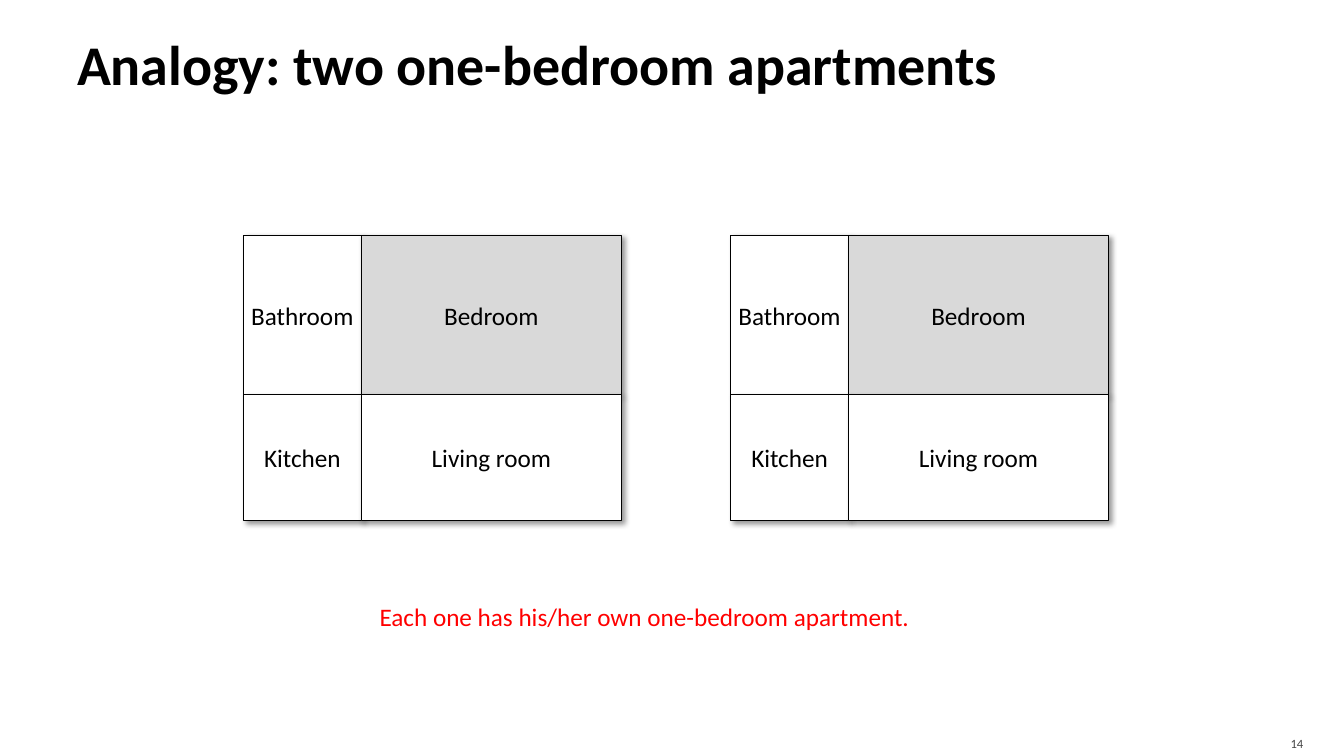
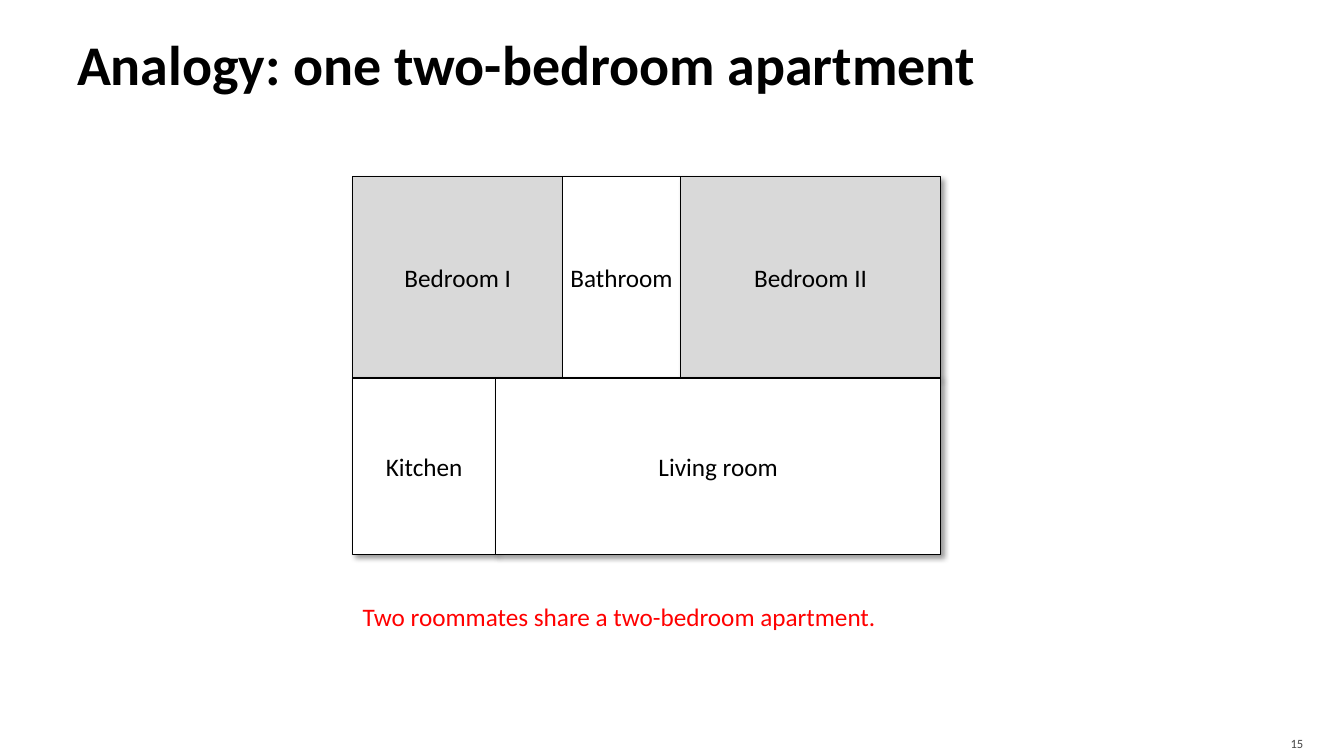
from lxml import etree
from pptx import Presentation
from pptx import util as u
from pptx.dml.color import RGBColor
from pptx.enum import shapes, text
from pptx.oxml import parse_xml

# Shared style
FONT = "Calibri"
BLACK = RGBColor(0, 0, 0)
WHITE = RGBColor(255, 255, 255)
GRAY = RGBColor(0xD9, 0xD9, 0xD9)
RED = RGBColor(255, 0, 0)
DIM = RGBColor(0x45, 0x45, 0x45)
LEFT, MID, RIGHT = text.PP_ALIGN.LEFT, text.PP_ALIGN.CENTER, text.PP_ALIGN.RIGHT

# The slide is a grid of 160 columns by 90 rows
COLS, ROWS = 160, 90
CELL = u.Inches(1) / 12

SHADOW = (
    '<a:effectLst xmlns:a="http://schemas.openxmlformats.org/drawingml/2006/main">'
    '<a:outerShdw blurRad="50800" dist="38100" dir="2700000" algn="tl" rotWithShape="0">'
    '<a:srgbClr val="000000"><a:alpha val="40000"/></a:srgbClr>'
    '</a:outerShdw></a:effectLst>'
)


def grid(*cells):
    return [round(n * CELL) for n in cells]


def write(shape, words, size, color, align=LEFT, bold=False):
    para = shape.text_frame.paragraphs[0]
    para.text = words
    para.alignment = align
    font = para.font
    font.name, font.size, font.bold = FONT, u.Pt(size), bold
    font.color.rgb = color


def label(slide, box, words, size, color, anchor=text.MSO_ANCHOR.MIDDLE, **style):
    shape = slide.shapes.add_textbox(*grid(*box))
    shape.text_frame.word_wrap = True
    shape.text_frame.vertical_anchor = anchor
    write(shape, words, size, color, **style)
    return shape.text_frame


def room(slide, box, name):
    shape = slide.shapes.add_shape(shapes.MSO_SHAPE.RECTANGLE, *grid(*box))
    shape.fill.solid()
    shape.fill.fore_color.rgb = GRAY if name.startswith("Bedroom") else WHITE
    shape.line.color.rgb = BLACK
    shape.line.width = u.Pt(0.75)
    shape._element.spPr.append(parse_xml(SHADOW))
    shape.text_frame.word_wrap = False
    shape.text_frame.vertical_anchor = text.MSO_ANCHOR.MIDDLE
    write(shape, name, 18, BLACK, MID)


def flat(slide, left, top, plan):
    """Lay out rows of (height, [(width, name), ...]) as adjoining rooms."""
    for high, rooms in plan:
        x = left
        for wide, name in rooms:
            room(slide, (x, top, wide, high), name)
            x += wide
        top += high


def page(deck, number, title, note, start):
    slide = deck.slides.add_slide(deck.slide_layouts[6])
    # Title
    frame = label(slide, (8, 1, 144, 13), title, 40, BLACK, bold=True)
    frame.margin_right = u.Inches(0.05)
    # Page number
    frame = label(slide, (143.5, 86.4, 12.84, 3.6), str(number), 9, DIM, align=RIGHT)
    frame.margin_bottom = 0
    # Caption
    label(slide, (start, 71, 68, 4.8), note, 18, RED, text.MSO_ANCHOR.TOP)
    return slide


def main():
    deck = Presentation()
    deck.slide_width, deck.slide_height = grid(COLS, ROWS)

    # Two separate apartments
    slide = page(deck, 14, "Analogy: two one-bedroom apartments",
                 "Each one has his/her own one-bedroom apartment.", 44)
    single = [(19, [(14, "Bathroom"), (31, "Bedroom")]),
              (15, [(14, "Kitchen"), (31, "Living room")])]
    for left in (29, 87):
        flat(slide, left, 28, single)

    # One shared apartment
    slide = page(deck, 15, "Analogy: one two-bedroom apartment",
                 "Two roommates share a two-bedroom apartment.", 42)
    shared = [(24, [(25, "Bedroom I"), (14, "Bathroom"), (31, "Bedroom II")]),
              (21, [(17, "Kitchen"), (53, "Living room")])]
    flat(slide, 42, 21, shared)

    deck.save("out.pptx")


if __name__ == "__main__":
    main()
